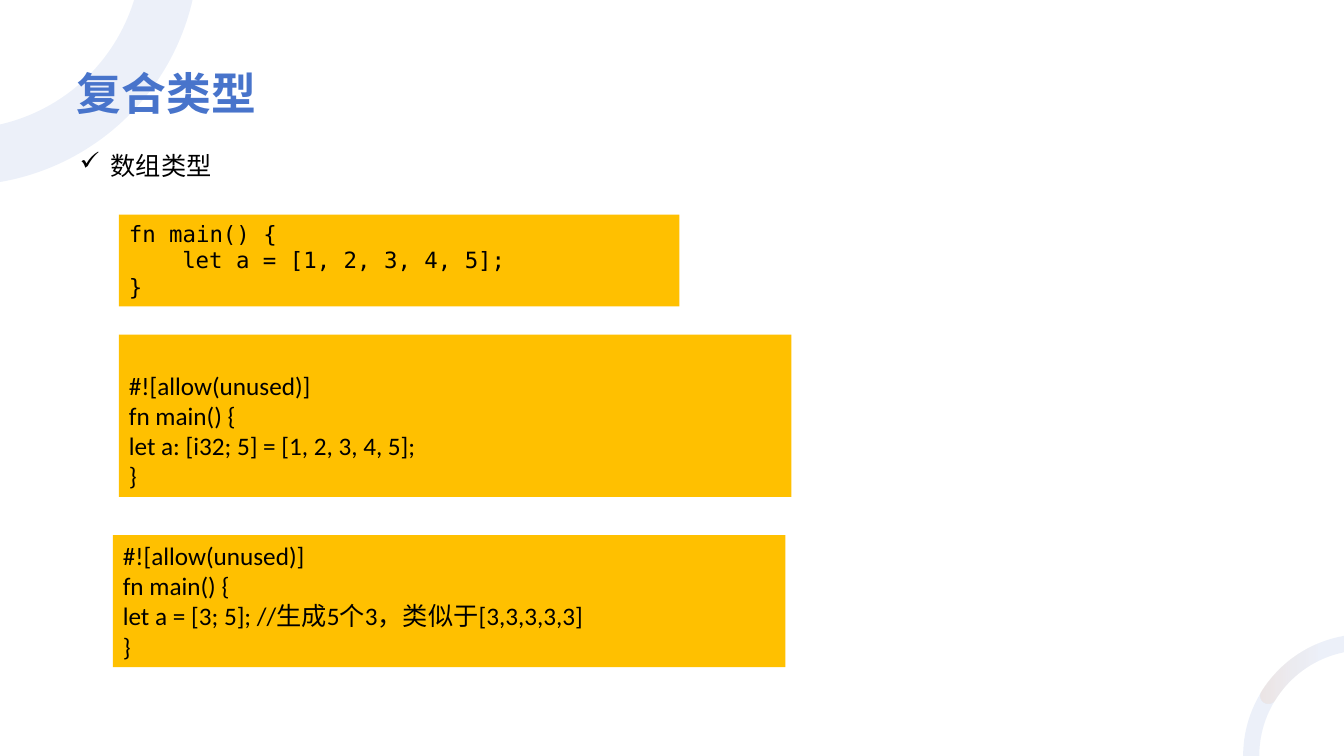
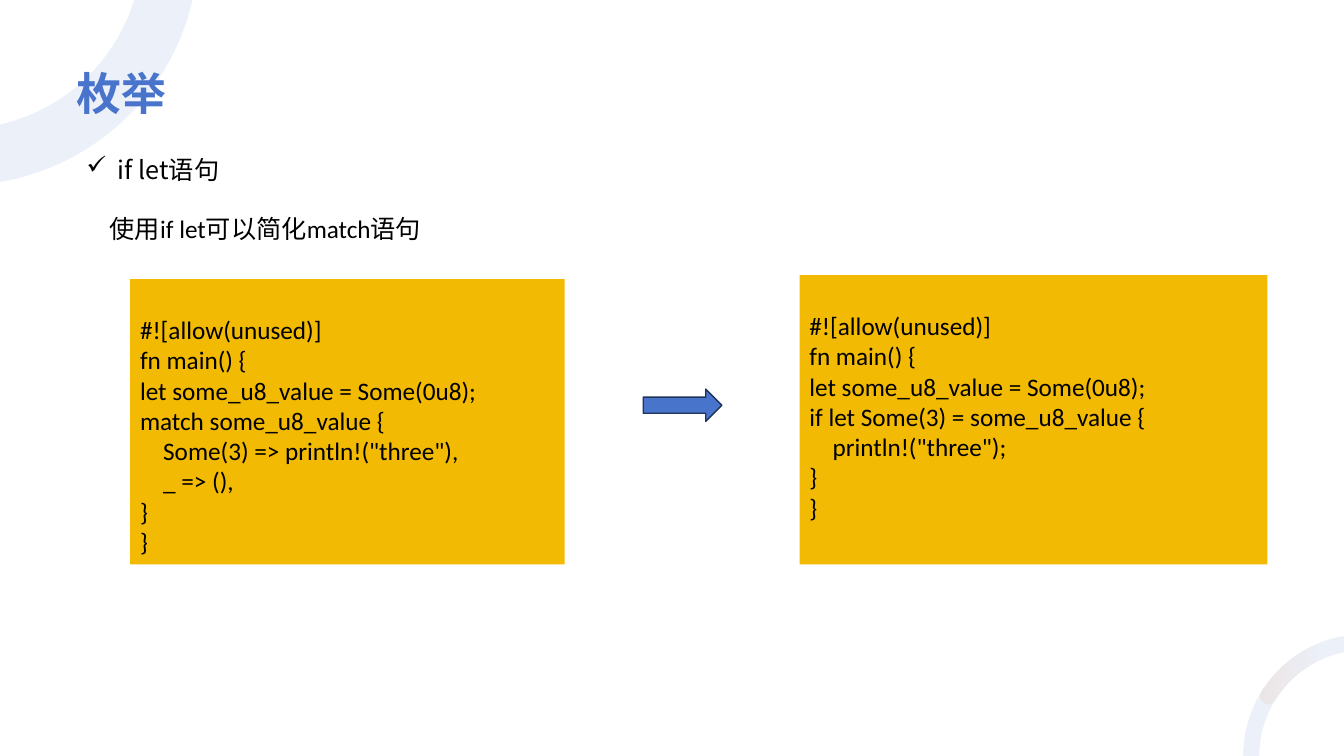
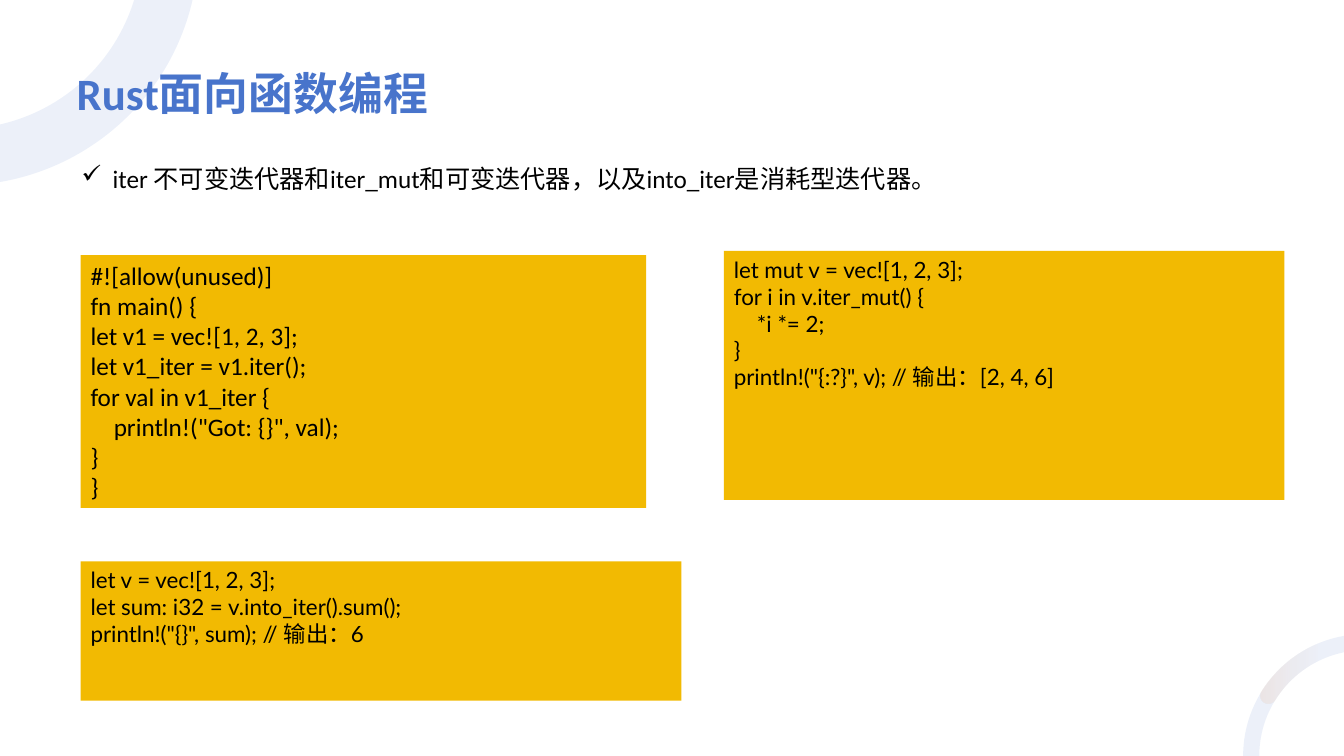
from math import cos, radians, sin, tan

from lxml.etree import SubElement
from pptx import Presentation
from pptx.dml.color import RGBColor
from pptx.enum.shapes import MSO_SHAPE
from pptx.enum.text import MSO_ANCHOR
from pptx.oxml.ns import qn
from pptx.util import Inches, Pt

WIDE, HIGH = 13.33, 7.5
COLS, ROWS = 1333, 750
BLUE, NAVY, ORANGE, BLACK = "4874CB", "203359", "EE822F", "000000"
AMBER, GOLD = "FFC000", "F2BA02"
BODY, HAN, MONO, LATO = "Calibri", "Noto Sans CJK SC", "DejaVu Sans Mono", "Lato"


def paint(target, color):
    """Give a fill, font or line the solid colour of a hex string."""
    if hasattr(target, "solid"):
        target.solid()
        target = target.fore_color
    elif hasattr(target, "color"):
        target = target.color
    target.rgb = RGBColor.from_string(color)


def cell(col, row):
    """Turn grid columns and rows into lengths."""
    return Inches(WIDE * col / COLS), Inches(HIGH * row / ROWS)


def place(box):
    """Turn a left, top, width, height tuple of grid cells into lengths."""
    return cell(*box[:2]) + cell(*box[2:])


def spot(mid, size, turn, pull=0):
    """Find a point on a circle, pulled along its tangent by a share of the radius."""
    return (mid[0] + size * (cos(turn) - pull * sin(turn)),
            mid[1] + size * (sin(turn) + pull * cos(turn)))


def arc(mid, size, start, end, parts=1):
    """List an arc as its first point and then three points for each curve."""
    step = radians(end - start) / parts
    pull = 4 / 3 * tan(step / 4)
    steps = [[spot(mid, size, radians(start))]]
    for i in range(parts):
        near = radians(start) + i * step
        far = near + step
        steps.append([spot(mid, size, near, pull), spot(mid, size, far, -pull),
                      spot(mid, size, far)])
    return steps


def band(slide, steps):
    """Draw a closed outline of lines and curves without line or shadow."""
    points = [cell(*point) for step in steps for point in step]
    pen = slide.shapes.build_freeform(*points[0], scale=1.0)
    pen.add_line_segments(points[1:], close=True)
    shape = pen.convert_to_shape()
    lines = iter(list(shape.element.iter(qn("a:lnTo"))))
    for step in steps[1:]:
        first, *rest = [next(lines) for point in step]
        if rest:
            first.tag = qn("a:cubicBezTo")
        for line in rest:
            first.append(line[0])
            line.getparent().remove(line)
    shape.shadow.inherit = False
    shape.line.fill.background()
    return shape


def fade(shape, *shares):
    """Set the opacity in percent of each colour of a shape in turn."""
    for color, share in zip(shape.element.iter(qn("a:srgbClr")), shares):
        SubElement(color, qn("a:alpha")).set("val", str(share * 1000))


def adorn(slide):
    """Draw the corner rings and move them to the layout."""
    top, low = (-40, -53), (1354, 750)
    rings = [
        arc(top, 237, 80.3, 12.9, 2) + arc(top, 181, 17, 77.2, 2),
        arc(low, 121, 260, 180) + arc(low, 105, 180, 258.5),
    ]
    shapes = [band(slide, ring) for ring in rings]
    for ring in shapes:
        paint(ring.fill, BLUE)
        fade(ring, 10)
    tip = spot(low, 113, radians(212))
    glow = band(slide, arc(low, 121, 212, 260) + arc(low, 105, 258.5, 212)
                + arc(tip, 8, 32, 212, 2)[1:])
    glow.fill.gradient()
    glow.fill.gradient_angle = 0
    for stop, share in zip(glow.fill.gradient_stops, (0, 0.7)):
        paint(stop.color, ORANGE)
        stop.position = share
    fade(glow, 10, 0)
    for shape in shapes + [glow]:
        slide.slide_layout.shapes.element.append(shape.element)


def write(shape, text, size=18, face=BODY, color=BLACK, bold=False, step=0.23):
    """Fill a shape with text, where leading tabs become indents."""
    frame = shape.text_frame
    lines = text.split("\n")
    frame.text = "\n".join(line.lstrip("\t") for line in lines)
    frame.word_wrap = True
    frame.vertical_anchor = MSO_ANCHOR.TOP
    for part, line in zip(frame.paragraphs, lines):
        props = part._p.get_or_add_pPr()
        props.set("algn", "l")
        props.set("marL", str(Inches(step * line.count("\t"))))
        for run in part.runs:
            font = run.font
            font.size, font.name, font.bold = Pt(size), face, bold
            paint(font, color)
            SubElement(run._r.rPr, qn("a:ea")).set("typeface", HAN)
    return frame


def label(slide, box, text, **style):
    """Add a text box."""
    return write(slide.shapes.add_textbox(*place(box)), text, **style)


def check(slide, box, text, **style):
    """Add a line of text with a check mark as its bullet."""
    props = label(slide, box, text, **style).paragraphs[0]._p.pPr
    props.set("marL", str(Inches(0.31)))
    props.set("indent", str(-Inches(0.31)))
    SubElement(props, qn("a:buFont")).set("typeface", "Wingdings")
    SubElement(props, qn("a:buChar")).set("char", "ü")


def code(slide, box, text, fill=GOLD, drop=0, **style):
    """Add a filled box of code, its text lowered by some lines."""
    shape = slide.shapes.add_shape(MSO_SHAPE.RECTANGLE, *place(box))
    shape.shadow.inherit = False
    paint(shape.fill, fill)
    shape.line.fill.background()
    write(shape, text, **style).margin_top = Inches(0.05 + 0.3 * drop)


def arrow(slide, box):
    """Add a block arrow that points right."""
    shape = slide.shapes.add_shape(MSO_SHAPE.RIGHT_ARROW, *place(box))
    shape.shadow.inherit = False
    paint(shape.fill, BLUE)
    paint(shape.line, NAVY)
    shape.line.width = Pt(1)


def start(deck, title):
    """Add a blank slide with a title."""
    slide = deck.slides.add_slide(deck.slide_layouts[6])
    if len(deck.slides) == 1:
        adorn(slide)
    frame = label(slide, (76, 39, 1181, 79), title, size=32, color=BLUE, bold=True)
    frame.vertical_anchor = MSO_ANCHOR.BOTTOM
    frame.margin_left = frame.margin_right = frame.margin_top = frame.margin_bottom = 0
    return slide


def arrays(deck):
    """Build the slide on array types."""
    slide = start(deck, "复合类型")
    check(slide, (69, 144, 609, 40), "数组类型", face=HAN)
    code(slide, (118, 213, 556, 91), """fn main() {
\tlet a = [1, 2, 3, 4, 5];
}""", AMBER, size=16, face=MONO, step=0.53)
    code(slide, (118, 332, 667, 161), """#![allow(unused)]
fn main() {
let a: [i32; 5] = [1, 2, 3, 4, 5];
}""", AMBER, drop=1)
    code(slide, (112, 531, 667, 131), """#![allow(unused)]
fn main() {
let a = [3; 5]; //生成5个3，类似于[3,3,3,3,3]
}""", AMBER)


def enums(deck):
    """Build the slide on enums."""
    slide = start(deck, "枚举")
    check(slide, (76, 148, 1106, 40), "if let语句", face=HAN)
    code(slide, (129, 277, 431, 283), """#![allow(unused)]
fn main() {
let some_u8_value = Some(0u8);
match some_u8_value {
\tSome(3) => println!("three"),
\t_ => (),
}
}""", drop=1)
    label(slide, (99, 207, 694, 40), "使用if let可以简化match语句")
    code(slide, (793, 273, 464, 287), """#![allow(unused)]
fn main() {
let some_u8_value = Some(0u8);
if let Some(3) = some_u8_value {
\tprintln!("three");
}
}""", drop=1)
    arrow(slide, (638, 386, 78, 32))


def iters(deck):
    """Build the slide on iterators."""
    slide = start(deck, "Rust面向函数编程")
    check(slide, (71, 157, 981, 40),
          "iter 不可变迭代器和iter_mut和可变迭代器，以及into_iter是消耗型迭代器。")
    code(slide, (80, 253, 561, 251), """#![allow(unused)]
fn main() {
let v1 = vec![1, 2, 3];
let v1_iter = v1.iter();
for val in v1_iter {
\tprintln!("Got: {}", val);
}
}""")
    code(slide, (718, 249, 556, 247), """let mut v = vec![1, 2, 3];
for i in v.iter_mut() {
\t*i *= 2;
}
println!("{:?}", v); // 输出：[2, 4, 6]""", size=16, face=LATO)
    code(slide, (80, 557, 596, 138), """let v = vec![1, 2, 3];
let sum: i32 = v.into_iter().sum();
println!("{}", sum); // 输出：6""", size=16, face=LATO)


def main():
    """Build and save the deck."""
    deck = Presentation()
    deck.slide_width, deck.slide_height = Inches(WIDE), Inches(HIGH)
    for build in (arrays, enums, iters):
        build(deck)
    deck.save("out.pptx")


if __name__ == "__main__":
    main()
